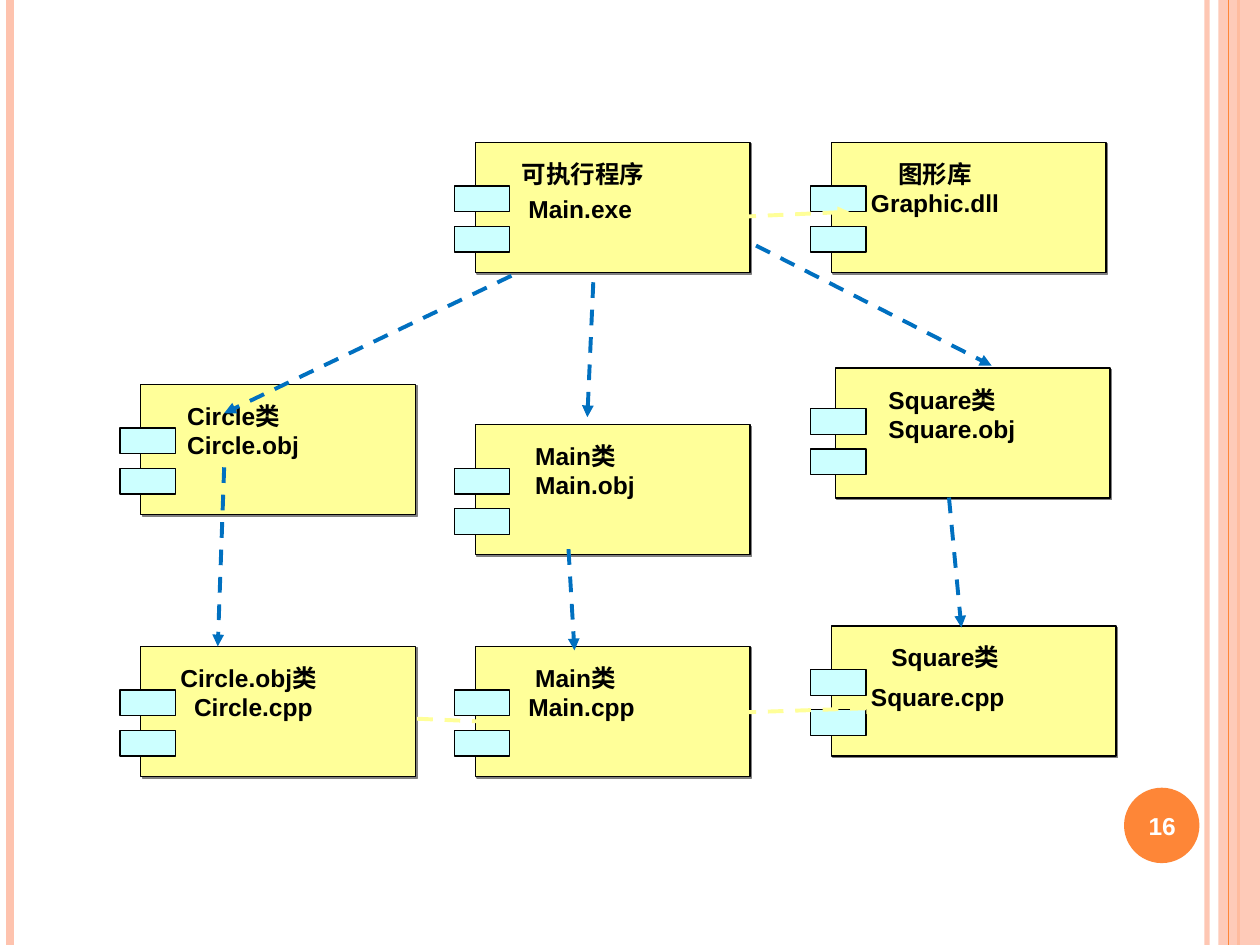
from lxml.etree import SubElement
from pptx import Presentation
from pptx.dml.color import RGBColor
from pptx.enum.dml import MSO_LINE
from pptx.enum.shapes import MSO_CONNECTOR, MSO_SHAPE
from pptx.enum.text import MSO_ANCHOR, PP_ALIGN
from pptx.oxml.ns import qn
from pptx.util import Cm, Pt

WHITE = RGBColor(0xFF, 0xFF, 0xFF)
BLACK = RGBColor(0x00, 0x00, 0x00)
GRAY = RGBColor(0x80, 0x80, 0x80)
PEACH = RGBColor(0xFE, 0xC3, 0xAE)
ORANGE = RGBColor(0xFE, 0x86, 0x37)
YELLOW = RGBColor(0xFF, 0xFF, 0x99)
CYAN = RGBColor(0xCC, 0xFF, 0xFF)
BLUE = RGBColor(0x00, 0x70, 0xC0)

PAGE_W, PAGE_H = 25.4, 19.05
BOX_W, BOX_H = 5.54, 2.62
COL_1, COL_2, COL_3 = 2.84, 9.58, 16.76
ROW_1, ROW_3 = 2.87, 13.03
STEP = 0.137

COMPONENTS = [
    (COL_1, ROW_3, [("Circle.obj类", 4, 1.35, 0), ("Circle.cpp", 6, 1, 0)], {}),
    (COL_2, 8.56, [("Main类", 7, 1.35, 0), ("Main.obj", 7, 1, 0)], {}),
    (COL_2, ROW_3, [("Main类", 7, 1.35, 0), ("Main.cpp", 6, 1, 0)], {}),
    (COL_3, ROW_1, [("图形库", 8, 1.35, 0), ("Graphic.dll", 4, 1, 0)], {}),
    (COL_3, 12.62, [("Square类", 7, 1.35, 0), ("Square.cpp", 4, 1.35, 0)],
     {"width": 5.74}),
    (16.84, 7.42, [("Square类", 6, 1.35, 0), ("Square.obj", 6, 1, 0)],
     {"lug_dx": 0.5, "lug_dy": 0.82}),
    (COL_1, 7.75, [("Circle类", 5, 1.35, 0), ("Circle.obj", 5, 1, 0)], {}),
    (COL_2, ROW_1, [("可执行程序", 5, 1.35, 0), ("Main.exe", 6, 1, 3.5)], {}),
]

DEPENDENCIES = [
    (10.31, 5.56, 4.52, 8.33, BLUE),
    (13.82, 4.42, 17.12, 4.27, YELLOW),
    (11.96, 5.69, 11.84, 8.41, BLUE),
    (15.24, 4.95, 19.99, 7.37, BLUE),
    (4.52, 9.42, 4.39, 13.03, BLUE),
    (11.46, 11.07, 11.58, 13.11, BLUE),
    (9.83, 14.55, 7.06, 14.43, YELLOW),
    (13.82, 14.4, 17.7, 14.27, YELLOW),
    (19.13, 10.03, 19.38, 12.65, BLUE),
]


def set_alpha(sp, percent):
    """Make the colour of a shape or line partly transparent."""
    color = sp.element.spPr.xpath(".//a:srgbClr")[0]
    SubElement(color, qn("a:alpha"), val=str(percent * 1000))


def add_block(s, kind, x, y, w, h, fill, outlined=False):
    """Add a filled shape without shadow and return it."""
    sp = s.shapes.add_shape(kind, Cm(x), Cm(y), Cm(w), Cm(h))
    sp.shadow.inherit = False
    sp.fill.solid()
    sp.fill.fore_color.rgb = fill
    if outlined:
        sp.line.color.rgb = BLACK
        sp.line.width = Pt(0.75)
    else:
        sp.line.fill.background()
    return sp


def add_line(s, x1, y1, x2, y2, color, width):
    """Add a straight line and return it."""
    ln = s.shapes.add_connector(
        MSO_CONNECTOR.STRAIGHT, Cm(x1), Cm(y1), Cm(x2), Cm(y2))
    ln.line.color.rgb = color
    ln.line.width = Pt(width)
    SubElement(ln.element.spPr, qn("a:effectLst"))
    return ln


def set_font(p, color):
    """Give a paragraph the bold face used on the slide."""
    p.font.name = "Arial"
    p.font.size = Pt(14)
    p.font.bold = True
    p.font.color.rgb = color


def add_frame(s, w, h):
    """Draw the vertical stripes along the slide edges."""
    set_alpha(add_line(s, w - 1.07, 0, w - 1.07, h, PEACH, 3), 93)
    add_line(s, 0.2, 0, 0.2, h, PEACH, 4.5)
    add_line(s, w - 0.43, 0, w - 0.43, h, ORANGE, 1.5)
    band = add_block(s, MSO_SHAPE.RECTANGLE, w - 0.84, 0, 0.84, h, PEACH)
    set_alpha(band, 87)
    add_line(s, w - 0.63, 0, w - 0.63, h, ORANGE, 0.75)


def add_page_number(s, x, y, size, number):
    """Draw the round badge with the page number."""
    add_block(s, MSO_SHAPE.OVAL, x, y, size, size, ORANGE)
    tb = s.shapes.add_textbox(Cm(x - 0.08), Cm(y + 0.05), Cm(1.7), Cm(1.45))
    tf = tb.text_frame
    tf.word_wrap = True
    tf.vertical_anchor = MSO_ANCHOR.MIDDLE
    p = tf.paragraphs[0]
    p.text = number
    p.alignment = PP_ALIGN.CENTER
    set_font(p, WHITE)


def add_component(s, x, y, lines, width=BOX_W, lug_dx=0.42, lug_dy=0.88):
    """Draw a component box with its text and two lugs."""
    box = add_block(s, MSO_SHAPE.RECTANGLE, x, y, width, BOX_H, YELLOW, True)
    effects = box.element.spPr.find(qn("a:effectLst"))
    shadow = SubElement(effects, qn("a:outerShdw"), dist=str(Pt(1.4)),
                        dir=str(45 * 60000), algn="ctr", rotWithShape="0")
    SubElement(shadow, qn("a:srgbClr"), val=str(GRAY))

    tf = box.text_frame
    tf.word_wrap = True
    tf.vertical_anchor = MSO_ANCHOR.TOP
    for i, (text, indent, spacing, before) in enumerate(lines):
        p = tf.add_paragraph() if i else tf.paragraphs[0]
        p.text = text
        p.alignment = PP_ALIGN.JUSTIFY
        p.line_spacing = float(spacing)
        p.space_before = Pt(before)
        pPr = p._p.get_or_add_pPr()
        pPr.set("marL", str(Cm(indent * STEP)))
        pPr.set("indent", "0")
        set_font(p, BLACK)

    for i in range(2):
        add_block(s, MSO_SHAPE.RECTANGLE, x - lug_dx, y + lug_dy + i * 0.81,
                  1.12, 0.52, CYAN, True)


def add_dependency(s, x1, y1, x2, y2, color):
    """Draw a dashed arrow from one component to another."""
    ln = add_line(s, x1, y1, x2, y2, color, 2.25)
    ln.line.dash_style = MSO_LINE.DASH
    SubElement(ln.element.spPr.find(qn("a:ln")), qn("a:tailEnd"), type="triangle")


def main():
    """Build the component diagram slide."""
    prs = Presentation()
    prs.slide_width, prs.slide_height = Cm(PAGE_W), Cm(PAGE_H)
    s = prs.slides.add_slide(prs.slide_layouts[6])
    add_frame(s, PAGE_W, PAGE_H)
    for x, y, lines, options in COMPONENTS:
        add_component(s, x, y, lines, **options)
    for dependency in DEPENDENCIES:
        add_dependency(s, *dependency)
    add_page_number(s, 22.66, 15.88, 1.52, "16")
    prs.save("out.pptx")


if __name__ == "__main__":
    main()
